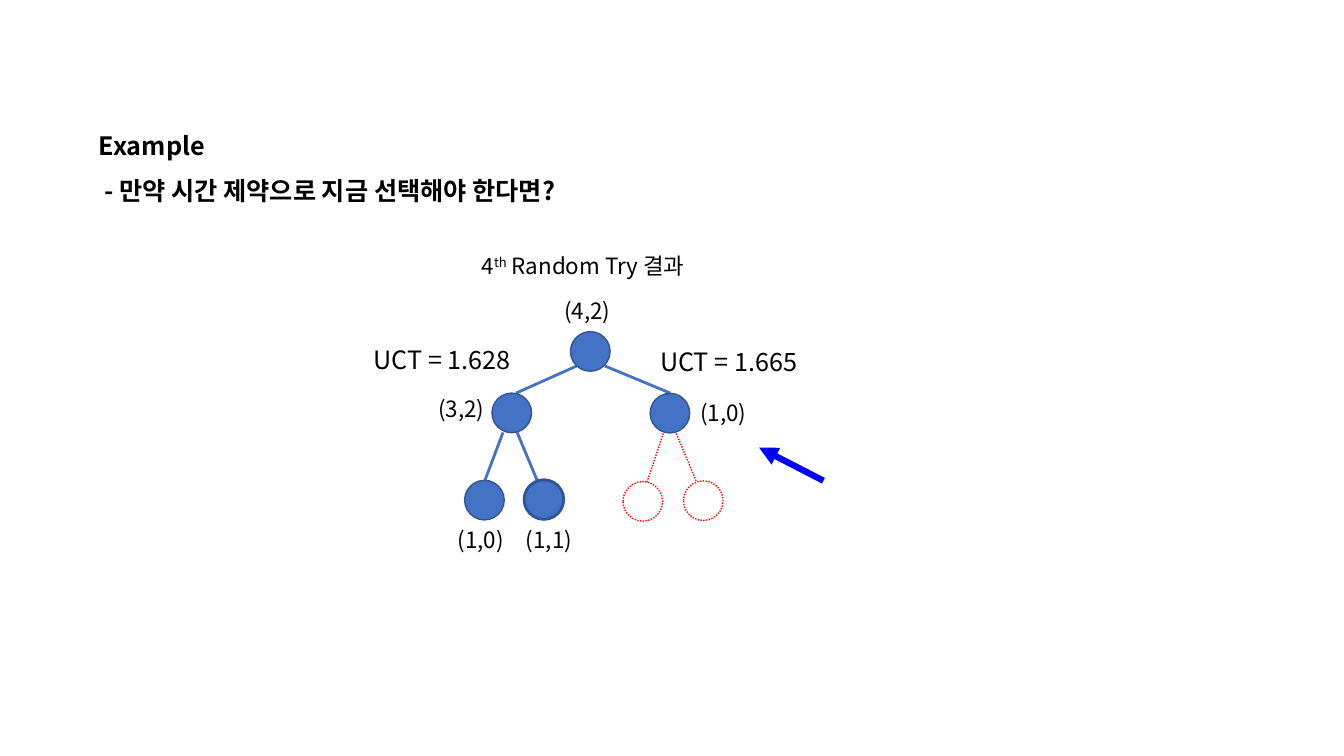
from pptx import Presentation
from pptx.dml.color import RGBColor
from pptx.enum.dml import MSO_LINE
from pptx.enum.shapes import MSO_CONNECTOR, MSO_SHAPE
from pptx.enum.text import MSO_AUTO_SIZE
from pptx.oxml.ns import qn
from pptx.util import Pt
from lxml.etree import SubElement

FONT = "Noto Sans CJK KR"
BLUE, RED, ARROW_BLUE = "4472C4", "FF0000", "0000FF"
DIAMETER = 28.3


def rgb(value):
    return RGBColor.from_string(value)


def style_line(line, color, width, dotted=False):
    line.color.rgb = rgb(color)
    line.width = Pt(width)
    if dotted:
        line.dash_style = MSO_LINE.ROUND_DOT


def add_run(p, text, size=16, bold=False, raised=False):
    r = p.add_run()
    r.text = text
    r.font.size = Pt(size)
    r.font.bold = bold
    r.font.name = FONT
    r.font.color.rgb = rgb("000000")
    r_pr = r.font._element
    SubElement(r_pr, qn("a:ea")).set("typeface", FONT)
    if raised:
        r_pr.set("baseline", "30000")


def add_box(s, x, y, w, h, wrap=False):
    tf = s.shapes.add_textbox(Pt(x), Pt(y), Pt(w), Pt(h)).text_frame
    tf.word_wrap = wrap
    tf.auto_size = MSO_AUTO_SIZE.SHAPE_TO_FIT_TEXT
    return tf


def add_label(s, text, x, y, w=49, h=26.6, size=16, wrap=False):
    tf = add_box(s, x, y, w, h, wrap)
    add_run(tf.paragraphs[0], text, size=size)


def add_heading(s):
    tf = add_box(s, 27.4, 78.5, 805, 68.4, wrap=True)
    lines = [("Example", 36), ("- 만약 시간 제약으로 지금 선택해야 한다면?", 40)]
    for i, (text, indent) in enumerate(lines):
        p = tf.add_paragraph() if i else tf.paragraphs[0]
        p.line_spacing = 1.5
        p_pr = p._p.get_or_add_pPr()
        p_pr.set("marL", str(Pt(indent)))
        p_pr.set("indent", "0")
        add_run(p, text, size=18, bold=True)


def add_caption(s):
    p = add_box(s, 337, 176.4, 167, 26.6).paragraphs[0]
    add_run(p, "4")
    add_run(p, "th", raised=True)
    add_run(p, " Random Try 결과")


def add_node(s, x, y, color="325491", width=1, filled=True):
    sp = s.shapes.add_shape(MSO_SHAPE.OVAL, Pt(x), Pt(y), Pt(DIAMETER), Pt(DIAMETER))
    sp.shadow.inherit = False
    if filled:
        sp.fill.solid()
        sp.fill.fore_color.rgb = rgb(BLUE)
    else:
        sp.fill.background()
    style_line(sp.line, color, width, dotted=not filled)


def add_edge(s, x1, y1, x2, y2, color=BLUE, width=2, dotted=False, arrow=False):
    c = s.shapes.add_connector(MSO_CONNECTOR.STRAIGHT, Pt(x1), Pt(y1), Pt(x2), Pt(y2))
    style_line(c.line, color, width, dotted)
    sp_pr = c._element.spPr
    if arrow:
        SubElement(sp_pr.find(qn("a:ln")), qn("a:tailEnd")).set("type", "triangle")
    SubElement(sp_pr, qn("a:effectLst"))


def main():
    prs = Presentation()
    prs.slide_width, prs.slide_height = Pt(960), Pt(540)
    s = prs.slides.add_slide(prs.slide_layouts[6])

    add_heading(s)
    add_caption(s)

    for edge in [(412, 261.4, 368.6, 280.8), (432, 261.4, 478.8, 280.8),
                 (359.3, 308.9, 346.3, 343.4), (369.4, 308.9, 383.8, 343.4)]:
        add_edge(s, *edge)
    for edge in [(473.8, 309.6, 462.2, 344.2), (483.1, 309.6, 497.5, 344.2)]:
        add_edge(s, *edge, color=RED, width=1, dotted=True)

    for x, y in [(407.5, 236.9), (351.4, 280.8), (464.4, 281), (331.9, 343.1)]:
        add_node(s, x, y)
    add_node(s, 374.4, 342.7, color="2F5597", width=2)
    for x, y in [(445, 344), (488.2, 343.5)]:
        add_node(s, x, y, color=RED, filled=False)

    for text, x, y in [("(4,2)", 396, 208.8), ("(3,2)", 306, 278.6),
                       ("(1,0)", 493.2, 281.5), ("(1,0)", 319.7, 372.2),
                       ("(1,1)", 368.6, 372.2)]:
        add_label(s, text, x, y)
    for text, x, y in [("UCT = 1.628", 259.9, 242.6), ("UCT = 1.665", 464.4, 244.1)]:
        add_label(s, text, x, y, w=146, h=28.8, size=18, wrap=True)

    add_edge(s, 588.2, 343.4, 542.2, 319.7, color=ARROW_BLUE, width=4.5, arrow=True)
    prs.save("out.pptx")


if __name__ == "__main__":
    main()
